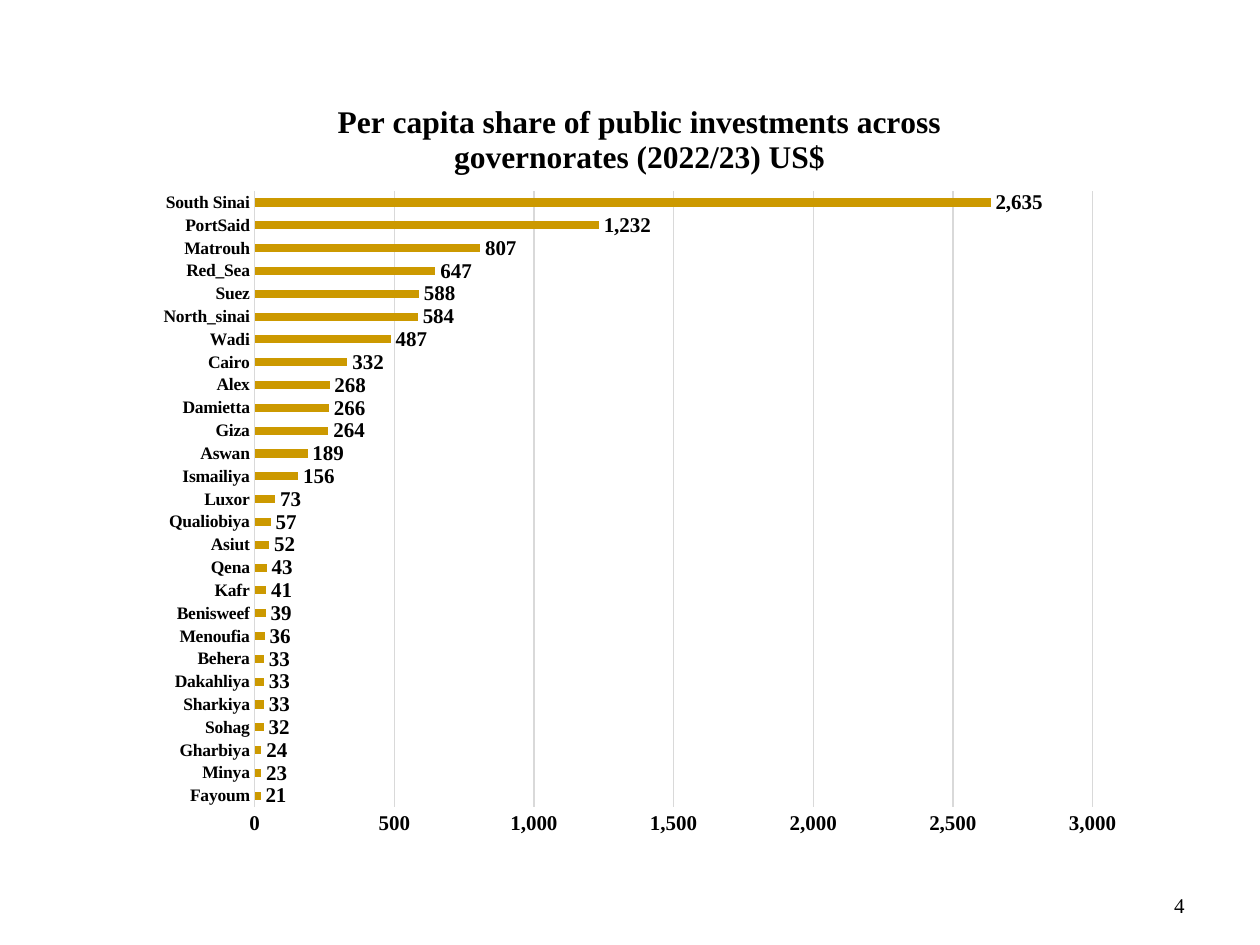
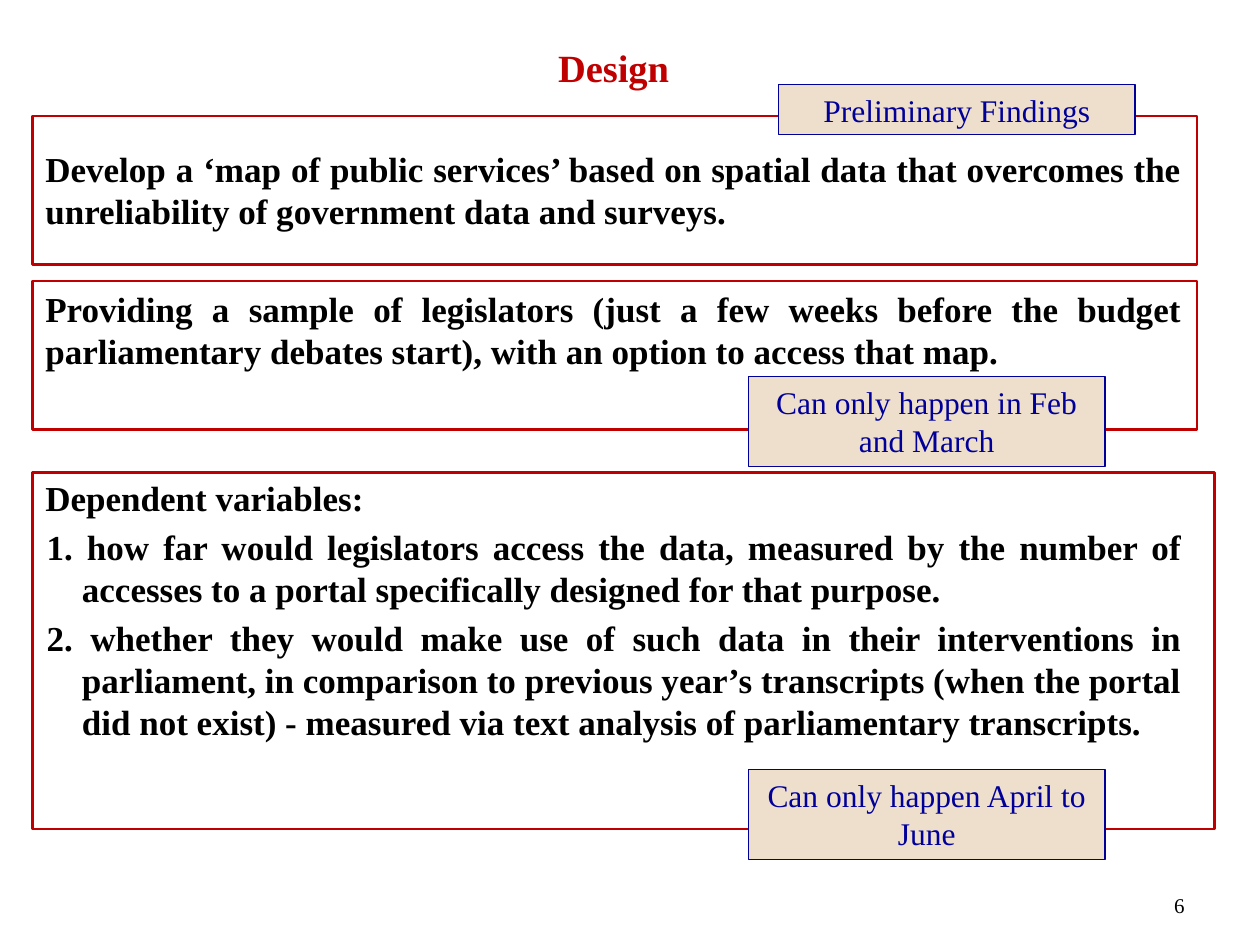
from lxml import etree
from pptx import Presentation
from pptx import util as u
from pptx.chart.data import CategoryChartData
from pptx.dml.color import RGBColor
from pptx.enum import chart as charts, shapes, text
from pptx.oxml import ns

WIDTH, HEIGHT = 10, 7.5
FONT = "Times New Roman"
LEADING = 1.2
COLORS = {"ink": "000000", "red": "C00000", "navy": "000099",
          "sand": "EEDFCC", "gold": "CC9900", "grid": "D9D9D9"}
LAYOUTS = {"list": 1, "blank": 6}
LEFT = 0.26
TAG_WIDTH = 2.83

SHARES = {
    "Fayoum": 21, "Minya": 23, "Gharbiya": 24, "Sohag": 32, "Sharkiya": 33,
    "Dakahliya": 33, "Behera": 33, "Menoufia": 36, "Benisweef": 39, "Kafr": 41,
    "Qena": 43, "Asiut": 52, "Qualiobiya": 57, "Luxor": 73, "Ismailiya": 156,
    "Aswan": 189, "Giza": 264, "Damietta": 266, "Alex": 268, "Cairo": 332,
    "Wadi": 487, "North_sinai": 584, "Suez": 588, "Red_Sea": 647,
    "Matrouh": 807, "PortSaid": 1232, "South Sinai": 2635,
}

DESIGN_STEPS = [
    ("Develop a ‘map of public services’ based on spatial data that overcomes "
     "the unreliability of government data and surveys.", 0, False),
    ("Providing a sample of legislators (just a few weeks before the budget "
     "parliamentary debates start), with an option to access that map.", 32, False),
    ("Dependent variables:", 60, False),
    ("1. how far would legislators access the data, measured by the number of "
     "accesses to a portal specifically designed for that purpose.", 4, True),
    ("2. whether they would make use of such data in their interventions in "
     "parliament, in comparison to previous year’s transcripts (when the portal "
     "did not exist) - measured via text analysis of parliamentary transcripts.",
     4, True),
]

OUTLINES = [(0.92, 9.24, 1.18), (2.23, 9.24, 1.18), (3.75, 9.38, 2.83)]
TAGS = [("Can only happen in Feb and March", 5.94, 2.99, 0.71),
        ("Can only happen April to June", 5.94, 6.11, 0.71),
        ("Preliminary Findings", 6.18, 0.67, 0.4)]


def color(name):
    """Return a palette colour."""
    return RGBColor.from_string(COLORS[name])


def style_font(font, size, ink="ink", bold=False):
    """Apply the deck's typeface with a size, colour and weight."""
    font.name, font.size, font.bold = FONT, u.Pt(size), bold
    font.color.rgb = color(ink)


def write(para, words, size, ink="ink", bold=False, align="LEFT",
          before=0, hanging=False):
    """Fill a paragraph with one formatted run and no bullet."""
    span = para.add_run()
    span.text = words
    style_font(span.font, size, ink, bold)
    para.alignment = getattr(text.PP_ALIGN, align)
    para.line_spacing = u.Pt(round(size * LEADING, 1))
    para.space_before = u.Pt(before)
    properties = para._p.get_or_add_pPr()
    properties.set("marL", str(u.Inches(0.29 if hanging else 0)))
    properties.set("indent", str(u.Inches(-0.28 if hanging else 0)))
    etree.SubElement(properties, ns.qn("a:buNone"))


def place(box, left, top, width, height, anchor="TOP"):
    """Set a text shape's position, wrapping and anchor."""
    box.left, box.top = u.Inches(left), u.Inches(top)
    box.width, box.height = u.Inches(width), u.Inches(height)
    frame = box.text_frame
    frame.word_wrap = True
    frame.auto_size = text.MSO_AUTO_SIZE.NONE
    frame.vertical_anchor = getattr(text.MSO_ANCHOR, anchor)
    return frame


def add_slide(deck, layout, number):
    """Add a slide with its page number at the bottom right."""
    slide = deck.slides.add_slide(deck.slide_layouts[LAYOUTS[layout]])
    box = slide.shapes.add_textbox(0, 0, 0, 0)
    frame = place(box, 7.17, 6.83, 2.33, 0.5, anchor="BOTTOM")
    write(frame.paragraphs[0], number, 12, align="RIGHT")
    return slide


def add_rectangle(slide, left, top, width, height, line, weight, fill=None):
    """Draw a flat rectangle, hollow unless a fill is named."""
    box = slide.shapes.add_shape(shapes.MSO_SHAPE.RECTANGLE, u.Inches(left),
                                 u.Inches(top), u.Inches(width), u.Inches(height))
    box.shadow.inherit = False
    box.line.color.rgb, box.line.width = color(line), u.Pt(weight)
    if fill:
        box.fill.solid()
        box.fill.fore_color.rgb = color(fill)
    else:
        box.fill.background()
    return box


def add_tag(slide, words, left, top, height):
    """Add a sand-coloured note about timing or status."""
    box = add_rectangle(slide, left, top, TAG_WIDTH, height, "navy", 0.75, "sand")
    frame = place(box, left, top, TAG_WIDTH, height)
    write(frame.paragraphs[0], words, 18, ink="navy", align="CENTER")


def set_layout(parent, position, **shares):
    """Fix a chart part's place as shares of the chart's size."""
    for stale in parent.findall(ns.qn("c:layout")):
        parent.remove(stale)
    layout = etree.Element(ns.qn("c:layout"))
    manual = etree.SubElement(layout, ns.qn("c:manualLayout"))
    for tag, value in shares.items():
        etree.SubElement(manual, ns.qn(f"c:{tag}")).set("val", str(value))
    parent.insert(position, layout)


def format_axis(axis, size):
    """Give an axis bold labels and no tick marks."""
    style_font(axis.tick_labels.font, size, bold=True)
    axis.major_tick_mark = axis.minor_tick_mark = charts.XL_TICK_MARK.NONE


def draw_rule(line):
    """Format a thin grey chart line."""
    line.color.rgb, line.width = color("grid"), u.Pt(0.75)


def add_share_chart(slide):
    """Add the bar chart of investment per head by governorate."""
    data = CategoryChartData(number_format="#,##0")
    data.categories = list(SHARES)
    data.add_series("Series 1", list(SHARES.values()))
    chart = slide.shapes.add_chart(
        charts.XL_CHART_TYPE.BAR_CLUSTERED, u.Inches(1.14), u.Inches(0.52),
        u.Inches(7.87), u.Inches(6.23), data).chart
    chart.has_legend = False
    style_font(chart.font, 10)

    chart.has_title = True
    title = chart.chart_title
    span = title.text_frame.paragraphs[0].add_run()
    span.text = "Per capita share of public investments across governorates (2022/23) US$"
    style_font(span.font, 18, bold=True)
    title.include_in_layout = False
    set_layout(title._element, 1, xMode="edge", yMode="edge", x=0.19, y=0.04)
    set_layout(chart._chartSpace.chart.plotArea, 0, layoutTarget="inner",
               xMode="edge", yMode="edge", x=0.112, y=0.16, w=0.845, h=0.785)

    format_axis(chart.category_axis, 10)
    draw_rule(chart.category_axis.format.line)
    values = chart.value_axis
    format_axis(values, 12)
    values.format.line.fill.background()
    values.minimum_scale, values.maximum_scale, values.major_unit = 0, 3000, 500
    draw_rule(values.major_gridlines.format.line)

    plot = chart.plots[0]
    plot.gap_width, plot.vary_by_categories = 182, False
    fill = plot.series[0].format.fill
    fill.solid()
    fill.fore_color.rgb = color("gold")
    plot.has_data_labels = True
    labels = plot.data_labels
    labels.show_value = True
    labels.number_format, labels.number_format_is_linked = "#,##0", False
    labels.position = charts.XL_LABEL_POSITION.OUTSIDE_END
    style_font(labels.font, 12, bold=True)


def add_design(slide):
    """Add the design heading, its steps, their frames and tags."""
    heading = place(slide.shapes.title, LEFT, 0.3, 9.22, 0.5)
    write(heading.paragraphs[0], "Design", 22, ink="red", bold=True, align="CENTER")
    frame = place(slide.placeholders[1], LEFT, 1.12, 9.22, 5.71)
    for index, (words, before, hanging) in enumerate(DESIGN_STEPS):
        para = frame.add_paragraph() if index else frame.paragraphs[0]
        write(para, words, 20, bold=True, align="JUSTIFY",
              before=before, hanging=hanging)
    for top, width, height in OUTLINES:
        add_rectangle(slide, LEFT, top, width, height, "red", 1.5)
    for tag in TAGS:
        add_tag(slide, *tag)


def main():
    """Build and save the deck."""
    deck = Presentation()
    deck.slide_width, deck.slide_height = u.Inches(WIDTH), u.Inches(HEIGHT)
    add_share_chart(add_slide(deck, "blank", "4"))
    add_design(add_slide(deck, "list", "6"))
    deck.save("out.pptx")


if __name__ == "__main__":
    main()
